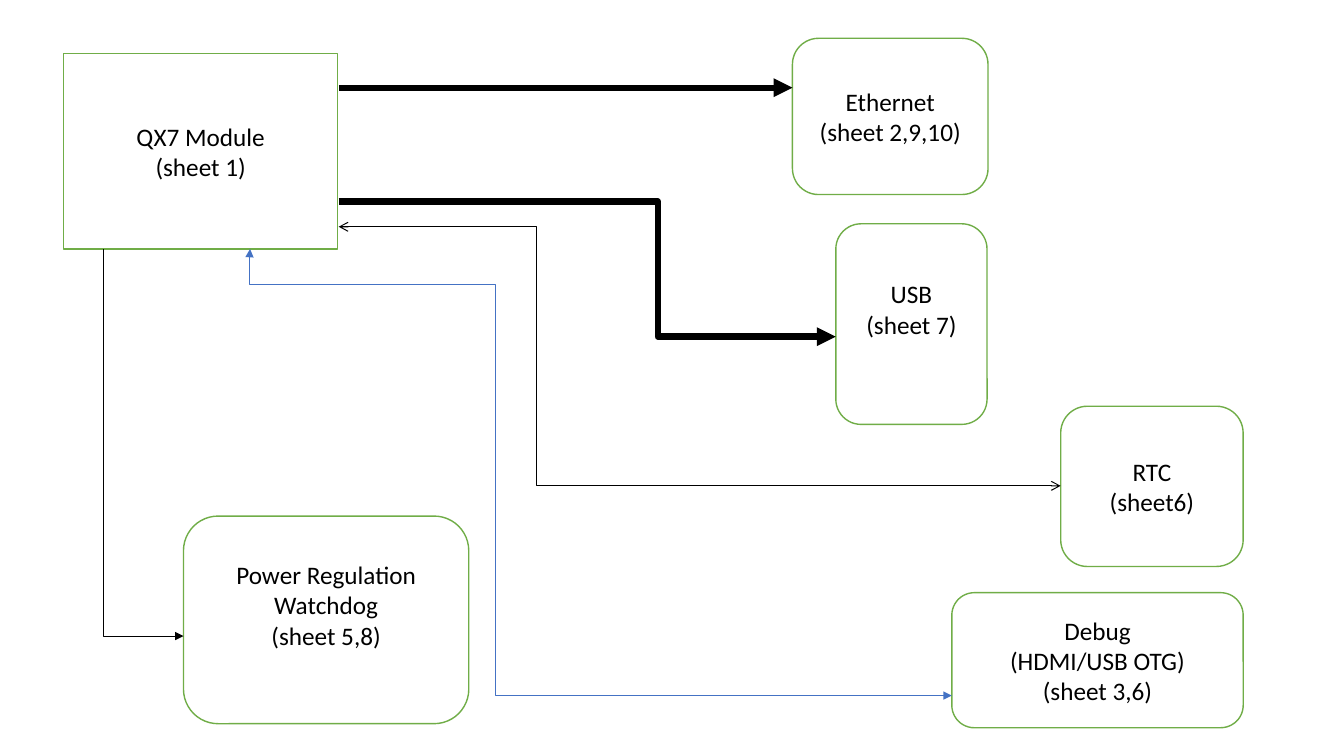
from lxml import etree
from pptx import Presentation
from pptx.dml.color import RGBColor
from pptx.enum.shapes import MSO_CONNECTOR, MSO_SHAPE
from pptx.enum.text import MSO_ANCHOR, PP_ALIGN
from pptx.oxml.ns import qn
from pptx.util import Inches, Pt

RECT, ROUND = MSO_SHAPE.RECTANGLE, MSO_SHAPE.ROUNDED_RECTANGLE
LINE, ELBOW = MSO_CONNECTOR.STRAIGHT, MSO_CONNECTOR.ELBOW
MIDDLE, CENTER = MSO_ANCHOR.MIDDLE, PP_ALIGN.CENTER
BLACK, WHITE, GREEN, BLUE = "000000", "FFFFFF", "70AD47", "4472C4"
PAD, LIFT = 0.05, 0.3  # base margin, and one text line more

# text (\v breaks a line, \n starts a paragraph), shape, box, lift
BLOCKS = [
    ("QX7 Module\v(sheet 1)", RECT, (0.63, 0.53, 2.72, 1.94), 0),
    ("Ethernet\v(sheet 2,9,10)", ROUND, (7.86, 0.38, 1.94, 1.55), 0),
    ("Debug\v(HDMI/USB OTG)\n(sheet 3,6)", ROUND, (9.44, 5.88, 2.89, 1.34), 0),
    ("Power Regulation\nWatchdog\v(sheet 5,8)", ROUND,
     (1.82, 5.12, 2.83, 2.06), LIFT),
    ("RTC\v(sheet6)", ROUND, (10.52, 4.03, 1.81, 1.59), 0),
    ("USB\v(sheet 7)", ROUND, (8.29, 2.22, 1.5, 1.99), LIFT),
]

# start, end, percent of the width where it bends, colour, points, head, tail
WIRES = [
    ((3.36, 0.87), (7.86, 0.87), None, BLACK, 4.5, None, "triangle"),
    ((3.36, 2), (8.29, 3.34), 64.2, BLACK, 4.5, None, "triangle"),
    ((1.03, 2.47), (1.82, 6.31), 0, BLACK, 0.5, None, "triangle"),
    ((3.36, 2.25), (10.52, 4.82), 27.4, BLACK, 0.75, "arrow", "arrow"),
    ((3.1, 2.82), (9.44, 6.9), 28.6, BLUE, 0.5, None, "triangle"),
    ((2.48, 2.47), (3.17, 2.82), -0.7, BLUE, 0.5, "triangle", None),
]


def color(code):
    """Turn a hex string into a colour."""
    return RGBColor.from_string(code)


def add_block(slide, text, kind, box, lift):
    """Draw one outlined block with centred text."""
    block = slide.shapes.add_shape(kind, *map(Inches, box))
    block.shadow.inherit = False
    block.fill.solid()
    block.fill.fore_color.rgb = color(WHITE)
    block.line.color.rgb = color(GREEN)
    block.line.width = Pt(1)
    frame = block.text_frame
    frame.word_wrap = True
    frame.vertical_anchor = MIDDLE
    frame.margin_bottom = Inches(PAD + lift)
    frame.text = text
    for para in frame.paragraphs:
        para.alignment = CENTER
        for run in para.runs:
            run.font.name = "Calibri"
            run.font.size = Pt(18)
            run.font.color.rgb = color(BLACK)


def add_wire(slide, start, end, bend, code, width, head, tail):
    """Draw one straight or bent connector with its arrowheads."""
    kind = LINE if bend is None else ELBOW
    wire = slide.shapes.add_connector(kind, *map(Inches, start + end))
    wire.line.color.rgb = color(code)
    wire.line.width = Pt(width)
    props = wire._element.spPr
    if bend is not None:
        guides = props.find(qn("a:prstGeom")).get_or_add_avLst()
        etree.SubElement(guides, qn("a:gd"), name="adj1",
                         fmla=f"val {round(bend * 1000)}")
    stroke = props.find(qn("a:ln"))
    for tag, tip in (("a:headEnd", head), ("a:tailEnd", tail)):
        if tip:
            etree.SubElement(stroke, qn(tag), type=tip)
    etree.SubElement(props, qn("a:effectLst"))


deck = Presentation()
deck.slide_width, deck.slide_height = Inches(13.33), Inches(7.5)
slide = deck.slides.add_slide(deck.slide_layouts[6])
for block in BLOCKS:
    add_block(slide, *block)
for wire in WIRES:
    add_wire(slide, *wire)
deck.save("out.pptx")
